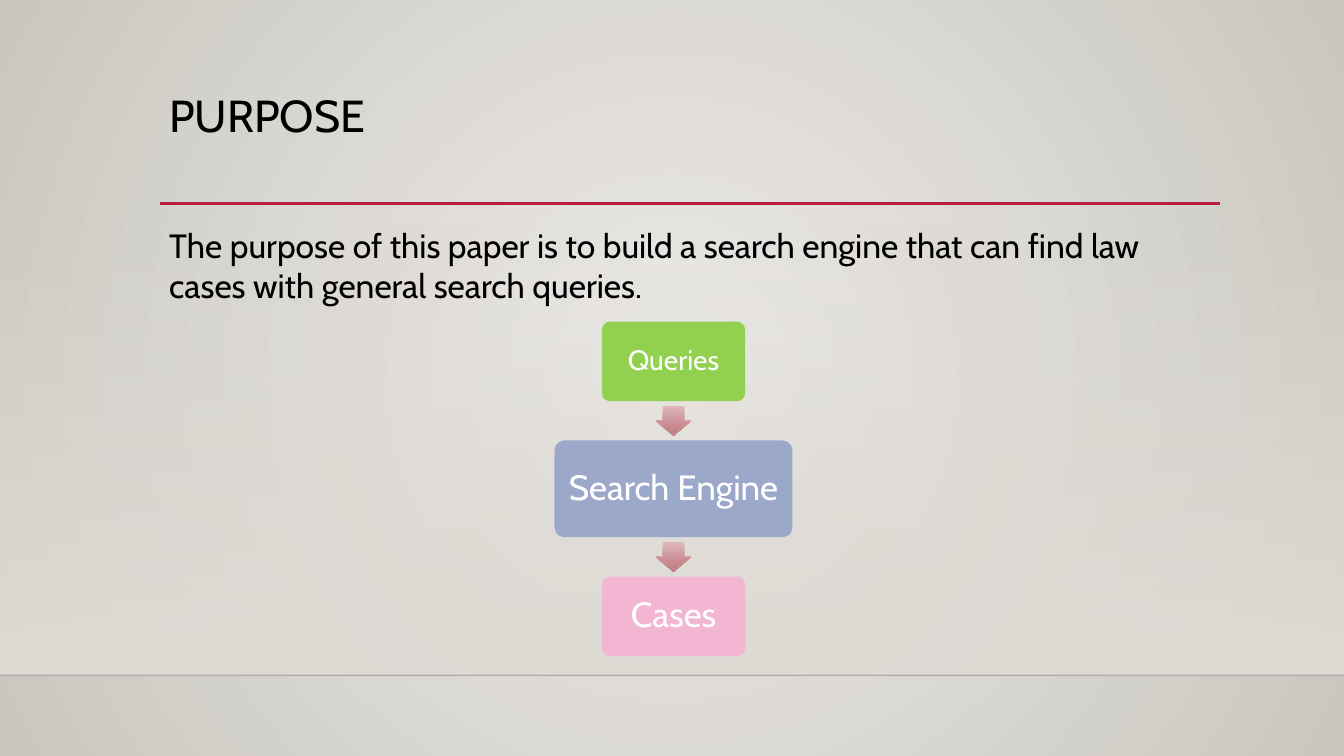
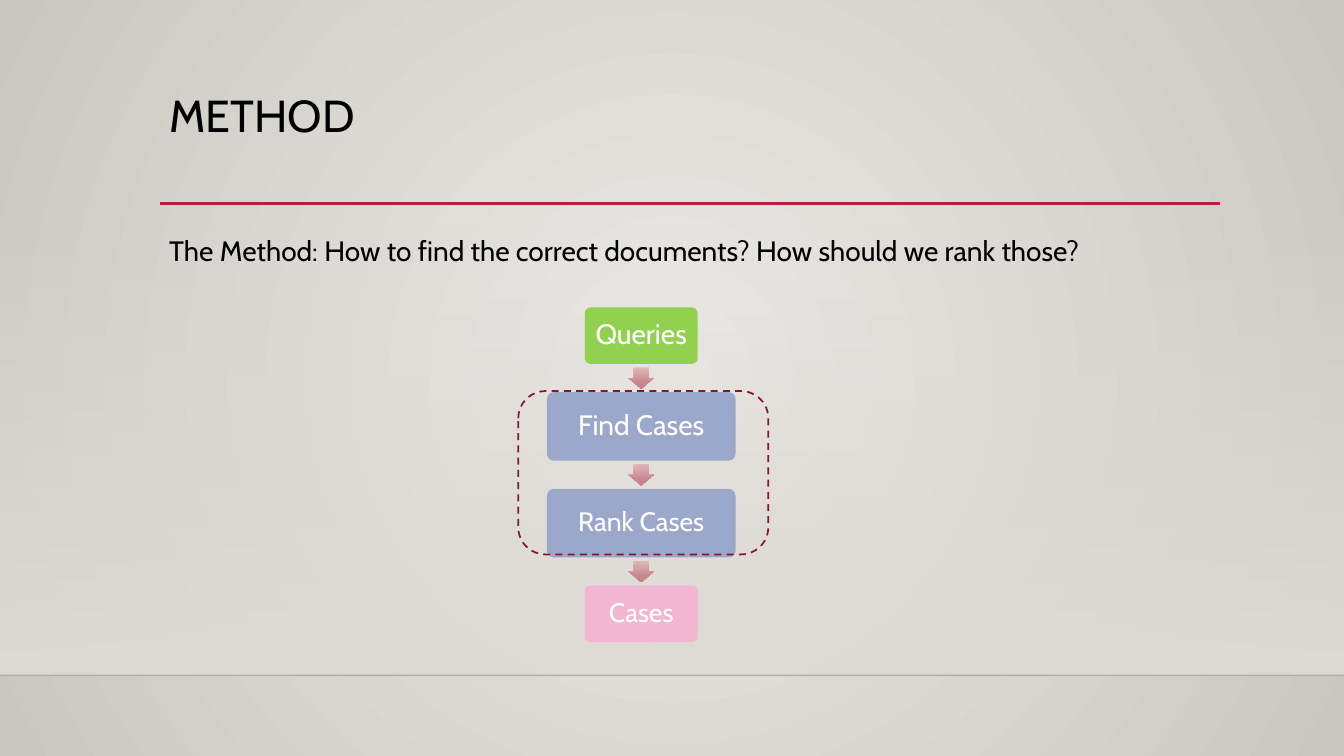
"""Build the purpose and method slides of a law case search deck."""
from pptx import Presentation
from pptx.dml.color import RGBColor
from pptx.enum import dml, shapes, text
from pptx.oxml import parse_xml
from pptx.oxml.ns import nsdecls, qn
from pptx.util import Inches, Pt

FONT = "Cabin"
BLACK = RGBColor(0x00, 0x00, 0x00)
WHITE = RGBColor(0xFF, 0xFF, 0xFF)
RED = RGBColor(0xB7, 0x1E, 0x42)
WINE = RGBColor(0x87, 0x16, 0x31)
GREEN = RGBColor(0x92, 0xD0, 0x50)
BLUE = RGBColor(0x9B, 0xA8, 0xCA)
PINK = RGBColor(0xF2, 0xB5, 0xD2)
PALE = RGBColor(0xEC, 0xEA, 0xE7)
STONE = RGBColor(0xCA, 0xC7, 0xC1)
SAND = RGBColor(0xDF, 0xDB, 0xD5)
ROSE = [(0, RGBColor(0xDF, 0xB7, 0xBB), 100),
        (69, RGBColor(0xC9, 0x88, 0x8E), 100),
        (100, RGBColor(0xBE, 0x82, 0x88), 100)]
DOWN = '<a:lin ang="5400000" scaled="0"/>'
ROUND = ('<a:path path="circle"><a:fillToRect l="50000" t="50000" '
         'r="50000" b="50000"/></a:path>')
WIDTH, HEIGHT = 13.33, 7.5
FLOOR = 6.7
LEFT = 1.58


def shade(item, stops, way):
    """Fill a shape or background with a gradient of (percent, colour, alpha) stops."""
    item.fill.background()
    marks = "".join(
        f'<a:gs pos="{pos * 1000}"><a:srgbClr val="{tint}">'
        f'<a:alpha val="{alpha * 1000}"/></a:srgbClr></a:gs>'
        for pos, tint, alpha in stops)
    grad = parse_xml(f'<a:gradFill {nsdecls("a")} rotWithShape="1">'
                     f'<a:gsLst>{marks}</a:gsLst>{way}</a:gradFill>')
    return grad


def swap(root, grad):
    """Put a gradient in place of the first empty fill under root."""
    blank = next(root.iter(qn("a:noFill")))
    blank.getparent().replace(blank, grad)


def add_form(slide, kind, left, top, width, height):
    """Add a preset shape without shadow or outline."""
    form = slide.shapes.add_shape(
        kind, Inches(left), Inches(top), Inches(width), Inches(height))
    form.shadow.inherit = False
    form.line.fill.background()
    return form


def add_rule(slide, left, right, top, tint, weight, alpha=100):
    """Draw a level line."""
    rule = slide.shapes.add_connector(
        shapes.MSO_CONNECTOR.STRAIGHT,
        Inches(left), Inches(top), Inches(right), Inches(top))
    rule.line.color.rgb = tint
    rule.line.width = Pt(weight)
    props = rule._element.spPr
    props.append(parse_xml(f'<a:effectLst {nsdecls("a")}/>'))
    if alpha < 100:
        clr = next(props.iter(qn("a:srgbClr")))
        clr.append(parse_xml(
            f'<a:alpha {nsdecls("a")} val="{alpha * 1000}"/>'))


def write(item, words, size, tint, spacing=1.0):
    """Set the single paragraph of a shape and return it."""
    item.text_frame.word_wrap = True
    para = item.text_frame.paragraphs[0]
    para.text = words
    para.line_spacing = spacing
    para.font.name = FONT
    para.font.size = Pt(size)
    para.font.color.rgb = tint
    return para


def add_text(slide, words, top, width, height, size, spacing=1.0):
    """Add a text box on the left margin."""
    box = slide.shapes.add_textbox(
        Inches(LEFT), Inches(top), Inches(width), Inches(height))
    write(box, words, size, BLACK, spacing)
    return box


def add_page(prs, title):
    """Add a slide with the shared band, lines and title."""
    slide = prs.slides.add_slide(prs.slide_layouts[6])
    band = add_form(slide, shapes.MSO_SHAPE.RECTANGLE,
                    0, 2.21, WIDTH, FLOOR - 2.21)
    swap(band._element.spPr,
         shade(band, [(0, SAND, 0), (100, SAND, 100)], DOWN))
    add_rule(slide, 0, WIDTH, FLOOR, BLACK, 1, 20)
    add_rule(slide, 1.59, 12.1, 2.02, RED, 2.5)
    head = add_text(slide, title, 0.37, 8.23, 1.61, 32, 0.9)
    head.text_frame.vertical_anchor = text.MSO_ANCHOR.MIDDLE
    return slide


def add_step(slide, mid, top, words, size, fill, width, height):
    """Add a rounded box centred on mid."""
    box = add_form(slide, shapes.MSO_SHAPE.ROUNDED_RECTANGLE,
                   mid - width / 2, top, width, height)
    box.adjustments[0] = 0.1
    box.fill.solid()
    box.fill.fore_color.rgb = fill
    frame = box.text_frame
    frame.margin_left = frame.margin_right = Inches(0.08)
    frame.vertical_anchor = text.MSO_ANCHOR.MIDDLE
    write(box, words, size, WHITE, 0.9).alignment = text.PP_ALIGN.CENTER


def add_arrow(slide, mid, top, gap):
    """Add a down arrow in the middle of the gap below top."""
    width, height = gap * 0.9, gap * 0.76
    arrow = add_form(slide, shapes.MSO_SHAPE.DOWN_ARROW, mid - width / 2,
                     top + (gap - height) / 2, width, height)
    arrow.adjustments[0] = 0.6
    arrow.adjustments[1] = 0.5
    swap(arrow._element.spPr, shade(arrow, ROSE, DOWN))


def add_flow(slide, mid, top, gap, steps):
    """Stack the steps downwards with an arrow in each gap."""
    for num, step in enumerate(steps):
        if num:
            add_arrow(slide, mid, top, gap)
            top += gap
        add_step(slide, mid, top, *step)
        top += step[-1]


def add_frame(slide, left, top, width, height):
    """Add a dashed rounded outline."""
    frame = add_form(slide, shapes.MSO_SHAPE.ROUNDED_RECTANGLE,
                     left, top, width, height)
    frame.fill.background()
    frame.line.color.rgb = WINE
    frame.line.width = Pt(1.25)
    frame.line.dash_style = dml.MSO_LINE.DASH


def main():
    """Build and save both slides."""
    prs = Presentation()
    prs.slide_width, prs.slide_height = Inches(WIDTH), Inches(HEIGHT)
    base = prs.slide_master
    swap(base.element, shade(
        base.background, [(0, PALE, 100), (100, STONE, 100)], ROUND))

    goal = add_page(prs, "PURPOSE")
    add_text(goal, "The purpose of this paper is to build a search engine "
             "that can find law cases with general search queries.",
             2.18, 10.61, 0.91, 24)
    add_flow(goal, 6.68, 3.19, 0.39, [
        ("Queries", 20, GREEN, 1.42, 0.79),
        ("Search Engine", 25, BLUE, 2.36, 0.96),
        ("Cases", 25, PINK, 1.42, 0.79)])

    plan = add_page(prs, "METHOD")
    lead = add_text(plan, "The Method: How to find the correct documents? "
                    "How should we rank those?", 2.2, 10.26, 0.67, 20, 1.2)
    lead.text_frame.paragraphs[0].space_before = Pt(10)
    add_flow(plan, 6.36, 3.05, 0.28, [
        ("Queries", 20, GREEN, 1.12, 0.56),
        ("Find Cases", 20, BLUE, 1.87, 0.68),
        ("Rank Cases", 19, BLUE, 1.87, 0.68),
        ("Cases", 19, PINK, 1.12, 0.56)])
    add_frame(plan, 5.14, 3.88, 2.48, 1.62)

    prs.save("out.pptx")


if __name__ == "__main__":
    main()
